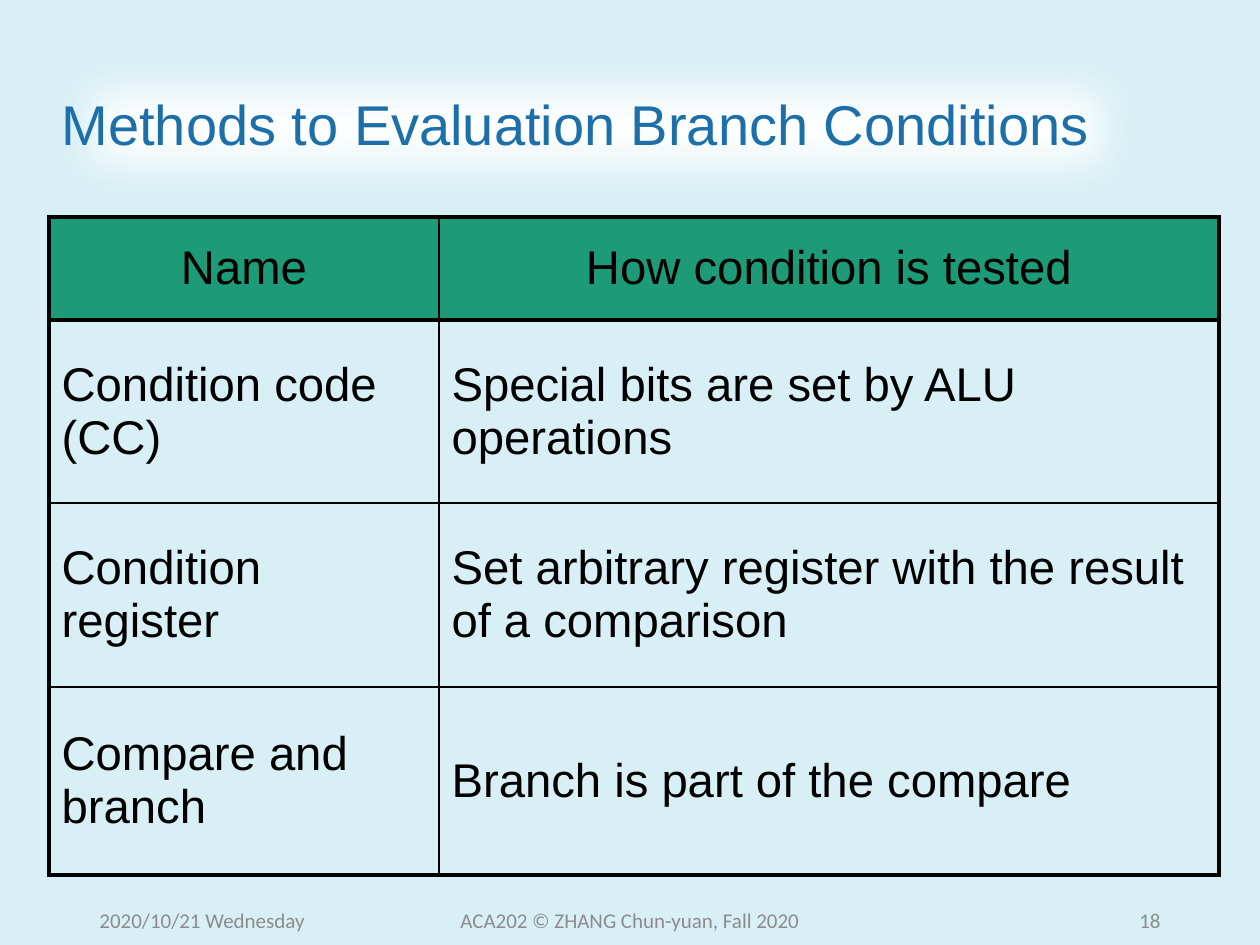
import pptx
import pptx.util
import pptx.dml.color
import pptx.enum.text
import pptx.oxml
import pptx.oxml.ns

EMU_PER_PX = 914400 // 126
COLORS = {
    "background": "D7EFF5",
    "title": "1D6FA9",
    "title_glow": "FFFFFF",
    "header": "1D9A78",
    "ink": "000000",
    "footer": "8C8C8C",
}
ALIGN = pptx.enum.text.PP_ALIGN
MIDDLE = pptx.enum.text.MSO_ANCHOR.MIDDLE
COLUMN_WIDTHS = [390, 780]
ROW_HEIGHTS = [103, 183, 184, 188]
ROWS = [
    ("Name", "How condition is tested"),
    ("Condition code (CC)", "Special bits are set by ALU operations"),
    ("Condition register", "Set arbitrary register with the result of a comparison"),
    ("Compare and branch", "Branch is part of the compare"),
]
FOOTERS = [
    ("2020/10/21 Wednesday", 87, 283, ALIGN.LEFT),
    ("ACA202 © ZHANG Chun-yuan, Fall 2020", 417, 426, ALIGN.CENTER),
    ("18", 890, 283, ALIGN.RIGHT),
]


def px(length):
    return pptx.util.Emu(length * EMU_PER_PX)


def rgb(name):
    return pptx.dml.color.RGBColor.from_string(COLORS[name])


def fill_solid(fill, color):
    fill.solid()
    fill.fore_color.rgb = rgb(color)


def format_paragraph(paragraph, size, font_name, color, alignment):
    paragraph.font.size = pptx.util.Pt(size)
    paragraph.font.name = font_name
    paragraph.font.color.rgb = rgb(color)
    paragraph.alignment = alignment


def add_title(slide, text):
    title = slide.shapes.title
    title.left, title.top, title.width, title.height = map(px, (49, 50, 1095, 155))
    fill_solid(title.fill, "title_glow")
    namespace = pptx.oxml.ns.nsdecls("a")
    title.element.spPr.append(pptx.oxml.parse_xml(
        f'<a:effectLst {namespace}><a:softEdge rad="317500"/></a:effectLst>'))
    frame = title.text_frame
    frame.text = text
    frame.word_wrap = True
    frame.auto_size = pptx.enum.text.MSO_AUTO_SIZE.NONE
    frame.vertical_anchor = MIDDLE
    paragraph = frame.paragraphs[0]
    paragraph.line_spacing = 0.9
    format_paragraph(paragraph, 32, "Arial", "title", ALIGN.LEFT)


def set_borders(cell, widths):
    properties = cell._tc.get_or_add_tcPr()
    namespace = pptx.oxml.ns.nsdecls("a")
    for position, (side, width) in enumerate(widths.items()):
        line = pptx.oxml.parse_xml(
            f'<a:ln{side} {namespace} w="{pptx.util.Pt(width)}"><a:solidFill>'
            f'<a:srgbClr val="{COLORS["ink"]}"/></a:solidFill></a:ln{side}>')
        properties.insert(position, line)


def add_condition_table(slide):
    last_row, last_column = len(ROWS) - 1, len(COLUMN_WIDTHS) - 1
    table = slide.shapes.add_table(
        len(ROWS), len(COLUMN_WIDTHS), px(49), px(217),
        px(sum(COLUMN_WIDTHS)), px(sum(ROW_HEIGHTS))).table
    table.first_row = False
    table.horz_banding = False
    for column, width in zip(table.columns, COLUMN_WIDTHS):
        column.width = px(width)
    for row, height in zip(table.rows, ROW_HEIGHTS):
        row.height = px(height)
    for row_index, texts in enumerate(ROWS):
        for column_index, text in enumerate(texts):
            cell = table.cell(row_index, column_index)
            cell.text = text
            cell.vertical_anchor = MIDDLE
            is_header = row_index == 0
            if is_header:
                fill_solid(cell.fill, "header")
            else:
                cell.fill.background()
            format_paragraph(cell.text_frame.paragraphs[0], 27, "Arial", "ink",
                             ALIGN.CENTER if is_header else ALIGN.LEFT)
            set_borders(cell, {
                "L": 3 if column_index == 0 else 1,
                "R": 3 if column_index == last_column else 1,
                "T": 3 if row_index <= 1 else 1,
                "B": 3 if row_index in (0, last_row) else 1,
            })


def add_footer(slide, text, left, width, alignment):
    frame = slide.shapes.add_textbox(px(left), px(895), px(width), px(50)).text_frame
    frame.text = text
    frame.word_wrap = True
    frame.vertical_anchor = MIDDLE
    format_paragraph(frame.paragraphs[0], 12, "Calibri", "footer", alignment)


def main():
    presentation = pptx.Presentation()
    presentation.slide_width = px(1260)
    presentation.slide_height = px(945)
    slide = presentation.slides.add_slide(presentation.slide_layouts[5])
    fill_solid(slide.background.fill, "background")
    add_title(slide, "Methods to Evaluation Branch Conditions")
    add_condition_table(slide)
    for footer in FOOTERS:
        add_footer(slide, *footer)
    presentation.save("out.pptx")


if __name__ == "__main__":
    main()
